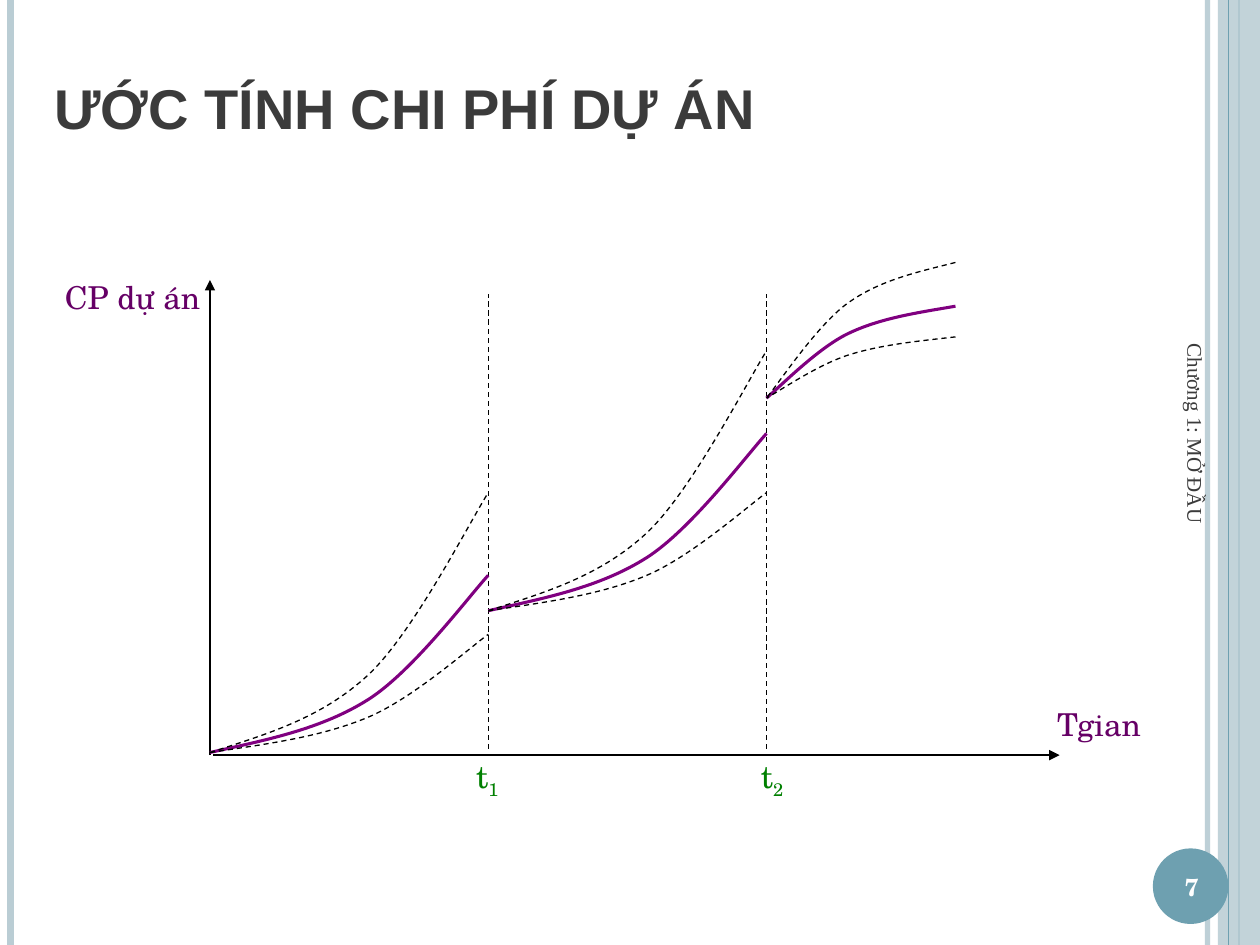
from dataclasses import dataclass

from lxml import etree
from pptx import Presentation
from pptx import util as u
from pptx.dml.color import RGBColor
from pptx.enum import dml, shapes, text
from pptx.oxml.ns import qn


@dataclass(frozen=True)
class Theme:
    pale: str = "BACDD4"
    teal: str = "6EA0B0"
    dark: str = "3B3B3B"
    black: str = "000000"
    white: str = "FFFFFF"
    label: str = "660066"
    curve: str = "800080"
    time: str = "008000"
    title_font: str = "Arial"
    body_font: str = "TeX Gyre Schola"
    footer_font: str = "Times New Roman"
    title_size: float = 32
    label_size: float = 18
    number_size: float = 14
    footer_size: float = 12


@dataclass(frozen=True)
class Line:
    start: tuple[float, float]
    end: tuple[float, float]
    color: str = "000000"
    width: float = 0.75
    dashed: bool = False
    arrow: bool = False
    opacity: int = 100


@dataclass(frozen=True)
class Phase:
    """A fan of cost curves; each rise gives the height of one curve."""
    flat_x: float
    flat_ys: tuple[float, float, float]
    steep_x: float
    steep_ys: tuple[float, float, float]


THEME = Theme()
HEIGHT = 540
ORIGIN_X, PERIOD = 120, 159
T1, T2 = ORIGIN_X + PERIOD, ORIGIN_X + 2 * PERIOD
RISES = (101.25, 148.5, 67.5)  # expected, upper, lower
AXIS_Y = 431.5

# Start, then two Bezier segments of three points, in the unit square
UNIT_CURVE = ((0, 0), (0.2, 0.07), (0.4, 0.13), (0.57, 0.3),
              (0.73, 0.46), (0.93, 0.88), (1, 1))


def growing_phase(x: float, y: float) -> Phase:
    return Phase(x, (y,) * 3, x + PERIOD, tuple(y - rise for rise in RISES))


PHASES = (
    growing_phase(ORIGIN_X, 430),
    growing_phase(T1, 349),
    Phase(546, (175, 150, 192.5), T2, (227.5,) * 3),
)

FRAME_LINES = (
    Line((690, 0), (690, HEIGHT), THEME.pale, 3, opacity=93),
    Line((6, 0), (6, HEIGHT), THEME.pale, 4.5),
    Line((708, 0), (708, HEIGHT), THEME.teal, 1.5),
)
EDGE_LINE = Line((702, 0), (702, HEIGHT), THEME.teal)
CHART_LINES = (
    Line((ORIGIN_X, AXIS_Y), (ORIGIN_X, 160), arrow=True),
    Line((122, AXIS_Y), (605.5, AXIS_Y), arrow=True),
    Line((T2, 428), (T2, 168), dashed=True),
    Line((T1, 428), (T1, 168), dashed=True),
)


def set_opacity(element, percent: int) -> None:
    color = next(element.iter(qn("a:srgbClr")))
    etree.SubElement(color, qn("a:alpha")).set("val", str(percent * 1000))


def style_line(line, color: str, width: float, dashed: bool) -> None:
    line.color.rgb = RGBColor.from_string(color)
    line.width = u.Pt(width)
    if dashed:
        line.dash_style = dml.MSO_LINE.DASH


def draw_line(slide, line: Line) -> None:
    connector = slide.shapes.add_connector(
        shapes.MSO_CONNECTOR.STRAIGHT,
        *(u.Pt(value) for value in (*line.start, *line.end)))
    style_line(connector.line, line.color, line.width, line.dashed)
    properties = connector._element.spPr
    if line.opacity < 100:
        set_opacity(properties, line.opacity)
    if line.arrow:
        outline = properties.find(qn("a:ln"))
        etree.SubElement(outline, qn("a:tailEnd")).set("type", "triangle")
    etree.SubElement(properties, qn("a:effectLst"))


def draw_block(slide, kind, box: tuple, color: str, opacity: int = 100) -> None:
    shape = slide.shapes.add_shape(kind, *(u.Pt(value) for value in box))
    shape.shadow.inherit = False
    shape.fill.solid()
    shape.fill.fore_color.rgb = RGBColor.from_string(color)
    if opacity < 100:
        set_opacity(shape._element.spPr, opacity)
    shape.line.fill.background()


def draw_curve(slide, start: tuple, end: tuple, color: str, width: float,
               dashed: bool) -> None:
    """Fit the unit curve between two points as true Bezier segments."""
    points = [tuple(u.Pt(a + (b - a) * part)
                    for a, b, part in zip(start, end, parts))
              for parts in UNIT_CURVE]
    builder = slide.shapes.build_freeform(*points[0])
    builder.add_line_segments(points[1:], close=False)
    shape = builder.convert_to_shape()
    path = next(shape._element.iter(qn("a:path")))
    steps = path.findall(qn("a:lnTo"))
    for first in range(0, len(steps), 3):
        bezier = etree.SubElement(path, qn("a:cubicBezTo"))
        for step in steps[first:first + 3]:
            bezier.append(step[0])
            path.remove(step)
    shape.shadow.inherit = False
    shape.fill.background()
    style_line(shape.line, color, width, dashed)


def draw_phase(slide, phase: Phase) -> None:
    styles = ((THEME.curve, 1.75, False),) + ((THEME.black, 0.75, True),) * 2
    for flat_y, steep_y, style in zip(phase.flat_ys, phase.steep_ys, styles):
        draw_curve(slide, (phase.flat_x, flat_y), (phase.steep_x, steep_y), *style)


def add_text(slide, box: tuple, *parts: str, color: str, size: float,
             font: str = THEME.body_font, bold: bool = False,
             anchor=text.MSO_ANCHOR.TOP, align=text.PP_ALIGN.LEFT,
             rotation: float = 0, tab: float = 0, grow: bool = False) -> None:
    """Write one paragraph; every second part is a subscript."""
    shape = slide.shapes.add_textbox(*(u.Pt(value) for value in box))
    shape.rotation = rotation
    frame = shape.text_frame
    frame.word_wrap = True
    frame.vertical_anchor = anchor
    if grow:
        frame.auto_size = text.MSO_AUTO_SIZE.SHAPE_TO_FIT_TEXT
    paragraph = frame.paragraphs[0]
    paragraph.alignment = align
    if tab:
        tabs = etree.SubElement(paragraph._p.get_or_add_pPr(), qn("a:tabLst"))
        etree.SubElement(tabs, qn("a:tab"), pos=str(u.Pt(tab)), algn="l")
    for index, part in enumerate(parts):
        run = paragraph.add_run()
        run.text = part
        run.font.name = font
        run.font.size = u.Pt(size)
        run.font.bold = bold
        run.font.color.rgb = RGBColor.from_string(color)
        if index % 2:
            run._r.get_or_add_rPr().set("baseline", "-25000")


def main() -> None:
    presentation = Presentation()
    presentation.slide_width, presentation.slide_height = u.Pt(720), u.Pt(HEIGHT)
    slide = presentation.slides.add_slide(presentation.slide_layouts[6])

    for line in FRAME_LINES:
        draw_line(slide, line)
    draw_block(slide, shapes.MSO_SHAPE.RECTANGLE, (696, 0, 24, HEIGHT),
               THEME.pale, opacity=87)
    draw_line(slide, EDGE_LINE)
    draw_block(slide, shapes.MSO_SHAPE.OVAL, (658.8, 484.8, 43.2, 43.2), THEME.teal)

    middle = text.MSO_ANCHOR.MIDDLE
    add_text(slide, (24, 21.6, 624, 62.4), "ƯỚC TÍNH CHI PHÍ DỰ ÁN",
             color=THEME.dark, size=THEME.title_size, font=THEME.title_font,
             bold=True, anchor=text.MSO_ANCHOR.BOTTOM)
    add_text(slide, (657, 486, 48, 41), "7", color=THEME.white,
             size=THEME.number_size, bold=True, anchor=middle,
             align=text.PP_ALIGN.CENTER)
    add_text(slide, (557.3, 301, 252, 28.8), "Chương 1: MỞ ĐẦU",
             color=THEME.dark, size=THEME.footer_size, font=THEME.footer_font,
             anchor=middle, rotation=90)

    for line in CHART_LINES:
        draw_line(slide, line)
    for phase in PHASES:
        draw_phase(slide, phase)

    add_text(slide, (597, 399.6, 69, 28.8), "Tgian", color=THEME.label,
             size=THEME.label_size, grow=True)
    add_text(slide, (30, 155.5, 104, 28.8), "CP dự án", color=THEME.label,
             size=THEME.label_size, grow=True)
    add_text(slide, (265, 429, 214.5, 31.7), "t", "1", "\tt", "2",
             color=THEME.time, size=THEME.label_size, tab=162.75, grow=True)

    presentation.save("out.pptx")


if __name__ == "__main__":
    main()
